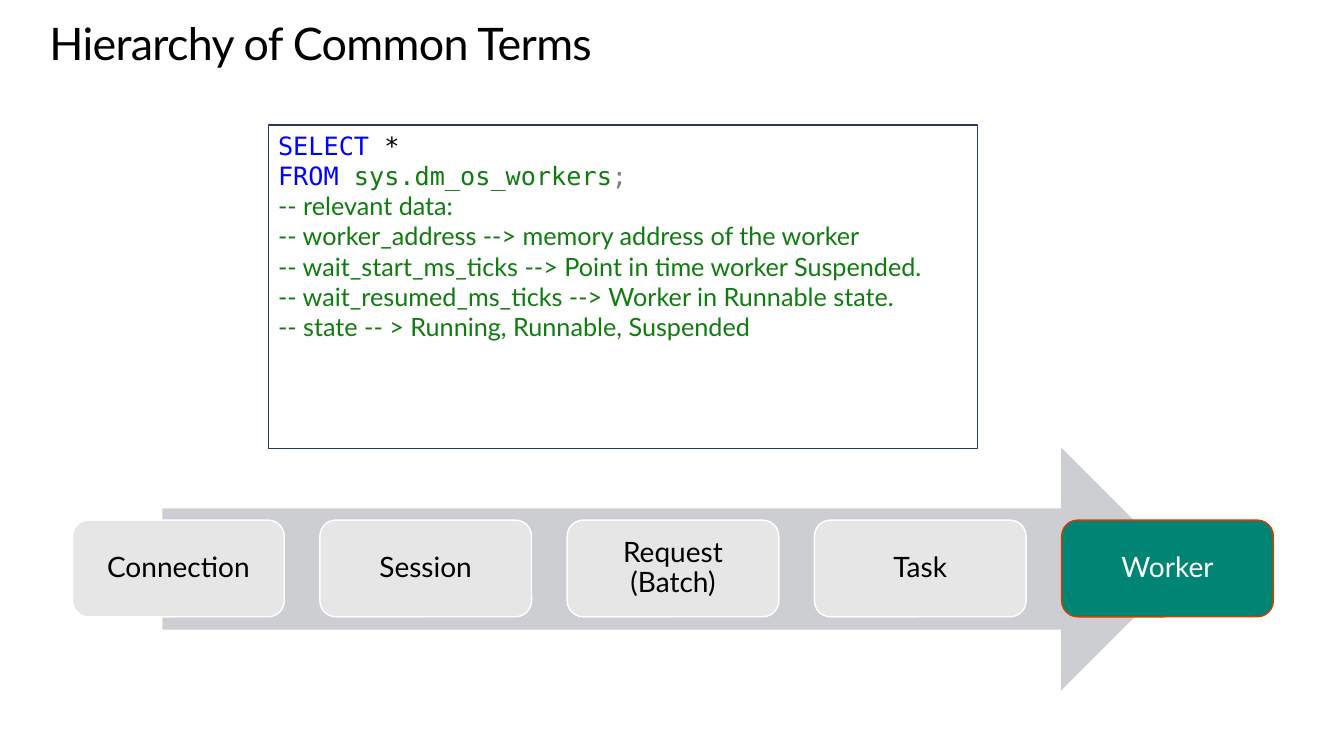
"""Build the slide on the hierarchy of common terms, from connection to worker."""

from dataclasses import dataclass

from pptx import Presentation
from pptx.dml.color import RGBColor
from pptx.enum.shapes import MSO_SHAPE
from pptx.enum.text import MSO_ANCHOR, PP_ALIGN
from pptx.shapes.autoshape import Shape
from pptx.slide import Slide
from pptx.text.text import TextFrame
from pptx.util import Inches, Pt

RECTANGLE = MSO_SHAPE.RECTANGLE
RIGHT_ARROW = MSO_SHAPE.RIGHT_ARROW
ROUNDED = MSO_SHAPE.ROUNDED_RECTANGLE
TOP, MIDDLE = MSO_ANCHOR.TOP, MSO_ANCHOR.MIDDLE
LEFT, CENTER = PP_ALIGN.LEFT, PP_ALIGN.CENTER

BLACK = RGBColor(0x00, 0x00, 0x00)
WHITE = RGBColor(0xFF, 0xFF, 0xFF)
NAVY = RGBColor(0x24, 0x3A, 0x5E)
KEYWORD_BLUE = RGBColor(0x00, 0x00, 0xFF)
COMMENT_GREEN = RGBColor(0x10, 0x7C, 0x10)
PUNCTUATION_GRAY = RGBColor(0x80, 0x80, 0x80)
ARROW_GRAY = RGBColor(0xCD, 0xCE, 0xD2)
TERM_GRAY = RGBColor(0xE6, 0xE6, 0xE6)
TEAL = RGBColor(0x00, 0x85, 0x75)
ORANGE = RGBColor(0xD8, 0x3B, 0x01)

SANS = "Lato"
MONO = "DejaVu Sans Mono"

FIRST_TERM_LEFT = 0.72
TERM_PITCH = 2.4525


@dataclass(frozen=True)
class Token:
    """A stretch of query text in one colour and font."""

    text: str
    color: RGBColor
    font: str = MONO


@dataclass(frozen=True)
class Term:
    """A step in the hierarchy."""

    label: str
    fill: RGBColor = TERM_GRAY
    outline: RGBColor = WHITE
    color: RGBColor = BLACK


COMMENTS = [
    "-- relevant data:",
    "-- worker_address --> memory address of the worker",
    "-- wait_start_ms_ticks --> Point in time worker Suspended.",
    "-- wait_resumed_ms_ticks --> Worker in Runnable state.",
    "-- state -- > Running, Runnable, Suspended",
]
QUERY = [
    [Token("SELECT", KEYWORD_BLUE), Token(" *", BLACK)],
    [
        Token("FROM ", KEYWORD_BLUE),
        Token("sys.dm_os_workers", COMMENT_GREEN),
        Token(";", PUNCTUATION_GRAY),
    ],
    *[[Token(comment, COMMENT_GREEN, SANS)] for comment in COMMENTS],
]
TERMS = [
    Term("Connection"),
    Term("Session"),
    Term("Request\v(Batch)"),
    Term("Task"),
    Term("Worker", TEAL, ORANGE, WHITE),
]


def set_insets(frame: TextFrame, inset: float) -> None:
    """Give all four sides of a text frame the same inset."""
    frame.margin_left = frame.margin_right = Inches(inset)
    frame.margin_top = frame.margin_bottom = Inches(inset)


def add_panel(
    slide: Slide,
    preset: MSO_SHAPE,
    left: float,
    top: float,
    width: float,
    height: float,
) -> Shape:
    """Add a preset shape without fill, line or shadow."""
    panel = slide.shapes.add_shape(
        preset, Inches(left), Inches(top), Inches(width), Inches(height)
    )
    panel.shadow.inherit = False
    panel.fill.background()
    panel.line.fill.background()
    return panel


def add_title(slide: Slide) -> None:
    """Add the slide heading."""
    heading = slide.shapes.add_textbox(
        Inches(0.49), Inches(0.19), Inches(11.9), Inches(0.5)
    )
    frame = heading.text_frame
    frame.word_wrap = True
    set_insets(frame, 0)
    frame.text = "Hierarchy of Common Terms"
    paragraph = frame.paragraphs[0]
    paragraph.line_spacing = Pt(36.2)
    run = paragraph.runs[0]
    run.font.name, run.font.size = SANS, Pt(32)
    run.font.color.rgb = BLACK
    run.font._element.set("spc", "-50")


def add_query(slide: Slide) -> None:
    """Add the framed query with its coloured tokens."""
    query = add_panel(slide, RECTANGLE, 2.66, 1.24, 7.04, 3.21)
    query.line.color.rgb = NAVY
    query.line.width = Pt(0.75)
    frame = query.text_frame
    frame.word_wrap = True
    frame.vertical_anchor = TOP
    for index, tokens in enumerate(QUERY):
        paragraph = frame.add_paragraph() if index else frame.paragraphs[0]
        paragraph.alignment = LEFT
        for token in tokens:
            run = paragraph.add_run()
            run.text = token.text
            run.font.name, run.font.size = token.font, Pt(18)
            run.font.color.rgb = token.color


def add_arrow(slide: Slide) -> None:
    """Add the wide arrow behind the terms."""
    arrow = add_panel(slide, RIGHT_ARROW, 1.61, 4.44, 10.12, 2.41)
    arrow.fill.solid()
    arrow.fill.fore_color.rgb = ARROW_GRAY


def add_term(slide: Slide, term: Term, left: float) -> None:
    """Add one labelled step."""
    step = add_panel(slide, ROUNDED, left, 5.16, 2.1, 0.96)
    step.fill.solid()
    step.fill.fore_color.rgb = term.fill
    step.line.color.rgb = term.outline
    step.line.width = Pt(1)
    frame = step.text_frame
    frame.word_wrap = True
    frame.vertical_anchor = MIDDLE
    set_insets(frame, 0.08)
    paragraph = frame.paragraphs[0]
    paragraph.text = term.label
    paragraph.alignment = CENTER
    paragraph.line_spacing = 0.9
    for run in paragraph.runs:
        run.font.name, run.font.size = SANS, Pt(20)
        run.font.color.rgb = term.color


def main() -> None:
    """Draw the slide and save it."""
    deck = Presentation()
    deck.slide_width, deck.slide_height = Inches(13.33), Inches(7.5)
    slide = deck.slides.add_slide(deck.slide_layouts[6])
    add_query(slide)
    add_title(slide)
    add_arrow(slide)
    for index, term in enumerate(TERMS):
        add_term(slide, term, FIRST_TERM_LEFT + index * TERM_PITCH)
    deck.save("out.pptx")


if __name__ == "__main__":
    main()
